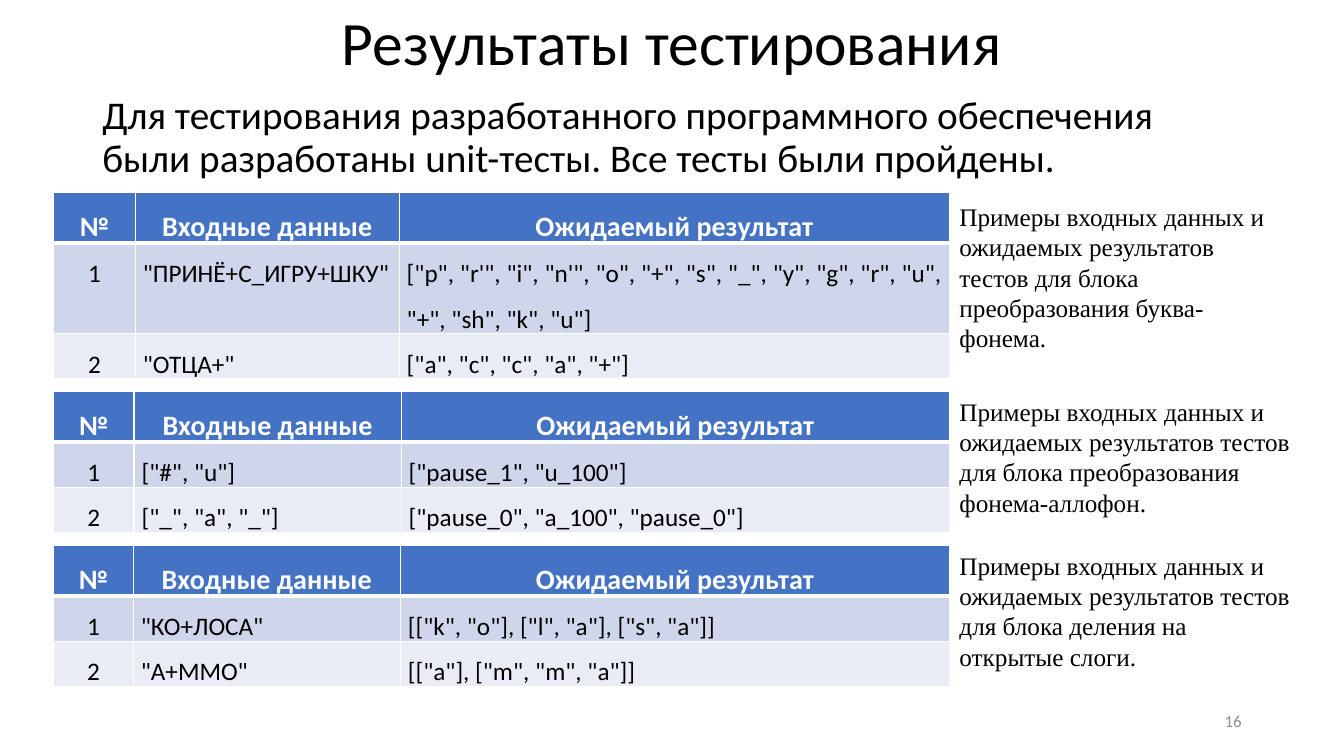
from lxml import etree
from pptx import Presentation
from pptx import util as u
from pptx.dml.color import RGBColor
from pptx.enum import text as t
from pptx.oxml import ns

BLACK, WHITE, GREY = "000000", "FFFFFF", "8C8C8C"
HEADER_FILL, ROW_FILLS = "4472C4", ("CFD5EA", "E9EBF5")
HEADINGS = ("№", "Входные данные", "Ожидаемый результат")
LEFT, TABLE_WIDTH, ROW_HEIGHT = 1.35, 22.58, 1.04
CAPTION_START = "Примеры входных данных и ожидаемых результатов тестов для блока "

# top, widths of the first two columns, caption width, caption drop, block name, tests
TEST_BLOCKS = [
    (4.85, (2.06, 6.65), 8.61, 0.1, "преобразования буква-фонема.", [
        ('"ПРИНЁ+С_ИГРУ+ШКУ"',
         '["p", "r\'", "i", "n\'", "o", "+", "s", "_", "y", "g", "r", "u", "+", "sh", "k", "u"]'),
        ('"ОТЦА+"', '["a", "c", "c", "a", "+"]')]),
    (9.86, (2.03, 6.73), 8.94, 0, "преобразования фонема-аллофон.", [
        ('["#", "u"]', '["pause_1", "u_100"]'),
        ('["_", "a", "_"]', '["pause_0", "a_100", "pause_0"]')]),
    (13.74, (2.01, 6.73), 8.94, 0, "деления на открытые слоги.", [
        ('"КО+ЛОСА"', '[["k", "o"], ["l", "a"], ["s", "a"]]'),
        ('"А+ММО"', '[["a"], ["m", "m", "a"]]')]),
]


def color(value):
    return RGBColor.from_string(value)


def write(frame, words, size, align=t.PP_ALIGN.LEFT, font="Calibri", ink=BLACK,
          bold=False, spacing=1.0):
    frame.text = words
    paragraph = frame.paragraphs[0]
    paragraph.alignment = align
    paragraph.line_spacing = spacing
    paragraph.font.name = font
    paragraph.font.size = u.Pt(size)
    paragraph.font.bold = bold
    paragraph.font.color.rgb = color(ink)
    return paragraph


def add_text(slide, box, words, size, anchor=t.MSO_ANCHOR.TOP, **style):
    frame = slide.shapes.add_textbox(*map(u.Cm, box)).text_frame
    frame.word_wrap = True
    frame.vertical_anchor = anchor
    return write(frame, words, size, **style)


def set_borders(cell, bottom):
    """White lines of 1 pt, with a bottom line of the given points."""
    properties = cell._tc.get_or_add_tcPr()
    for index, (side, width) in enumerate(
            (("lnL", 1), ("lnR", 1), ("lnT", 1), ("lnB", bottom))):
        line = etree.Element(ns.qn(f"a:{side}"), w=str(u.Pt(width)))
        fill = etree.SubElement(line, ns.qn("a:solidFill"))
        etree.SubElement(fill, ns.qn("a:srgbClr"), val=WHITE)
        properties.insert(index, line)


def fill_cell(cell, words, row, column):
    header = row == 0
    cell.margin_left = cell.margin_right = u.Cm(0.19)
    cell.margin_top = cell.margin_bottom = 0
    cell.fill.solid()
    cell.fill.fore_color.rgb = color(HEADER_FILL if header else ROW_FILLS[(row - 1) % 2])
    centred = header or column == 0
    write(cell.text_frame, words, 20 if header else 18,
          align=t.PP_ALIGN.CENTER if centred else t.PP_ALIGN.JUSTIFY,
          ink=WHITE if header else BLACK, bold=header, spacing=1.5)
    set_borders(cell, bottom=3 if header else 1)


def add_test_table(slide, box, first_widths, tests):
    rows = [HEADINGS] + [(str(n), *test) for n, test in enumerate(tests, 1)]
    table = slide.shapes.add_table(len(rows), len(HEADINGS), *map(u.Cm, box)).table
    widths = (*first_widths, box[2] - sum(first_widths))
    for column, width in zip(table.columns, widths):
        column.width = u.Cm(width)
    for r, row in enumerate(rows):
        for c, words in enumerate(row):
            fill_cell(table.cell(r, c), words, r, c)


def add_test_block(slide, top, first_widths, caption_width, caption_drop, block, tests):
    height = ROW_HEIGHT * (len(tests) + 1)
    add_test_table(slide, (LEFT, top, TABLE_WIDTH, height), first_widths, tests)
    add_text(slide, (LEFT + TABLE_WIDTH, top + caption_drop, caption_width, 3.33),
             CAPTION_START + block, 18, font="Times New Roman")


def add_heading(slide, box, title_height):
    left, top, width, height = box
    title = slide.shapes.title
    title.left, title.top, title.width, title.height = map(
        u.Cm, (left, top, width, title_height))
    title.text_frame.auto_size = t.MSO_AUTO_SIZE.NONE
    title.text_frame.vertical_anchor = t.MSO_ANCHOR.MIDDLE
    write(title.text_frame, "Результаты тестирования", 44,
          align=t.PP_ALIGN.CENTER, spacing=0.9)
    summary = add_text(
        slide, (left, top + title_height, width, height - title_height),
        "Для тестирования разработанного программного обеспечения были разработаны "
        "unit-тесты. Все тесты были пройдены.", 28, spacing=0.9)
    summary.space_before = u.Pt(10)


def main():
    deck = Presentation()
    deck.slide_width, deck.slide_height = u.Cm(33.87), u.Cm(19.05)
    slide = deck.slides.add_slide(deck.slide_layouts.get_by_name("Title Only"))
    add_heading(slide, (2.33, 0, 29.21, 4.67), title_height=2.29)
    for block in TEST_BLOCKS:
        add_test_block(slide, *block)
    add_text(slide, (23.92, 17.66, 7.62, 1.01), "16", 12, anchor=t.MSO_ANCHOR.MIDDLE,
             align=t.PP_ALIGN.RIGHT, ink=GREY)
    deck.save("out.pptx")


if __name__ == "__main__":
    main()
